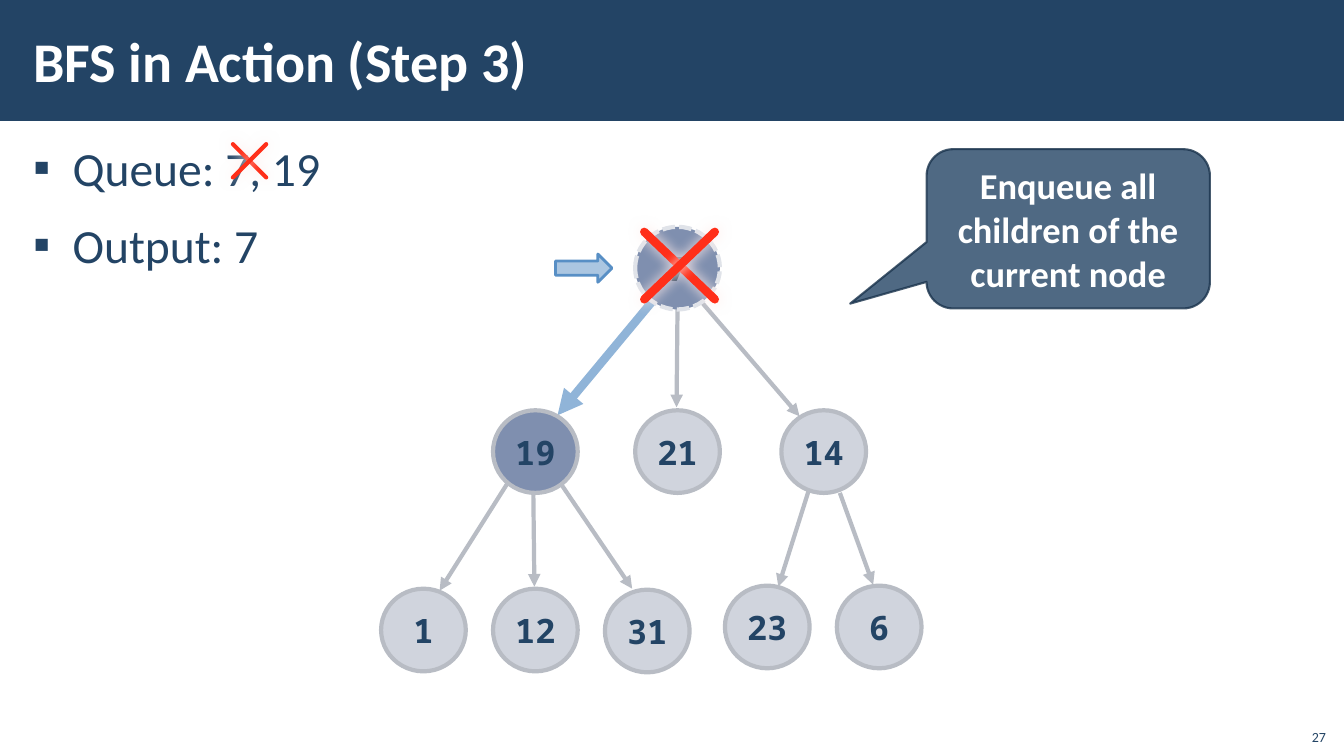
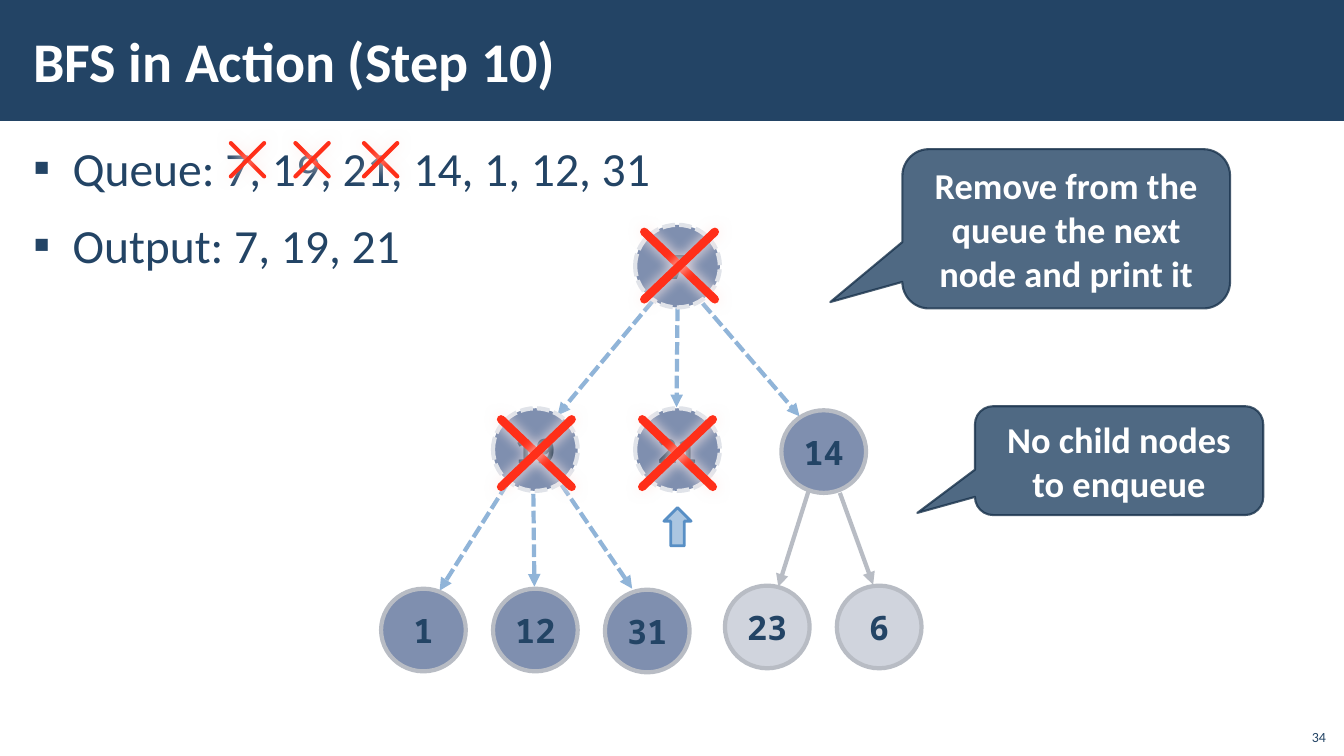
from lxml import etree
from pptx import Presentation
from pptx.dml.color import RGBColor
from pptx.enum.dml import MSO_LINE
from pptx.enum.shapes import MSO_CONNECTOR, MSO_SHAPE
from pptx.enum.text import MSO_ANCHOR, PP_ALIGN
from pptx.oxml.ns import qn
from pptx.util import Inches, Pt

NAVY = RGBColor(0x23, 0x44, 0x65)
DARK_NAVY = RGBColor(0x1A, 0x33, 0x4C)
DEEP_BLUE = RGBColor(0x00, 0x20, 0x60)
SLATE = RGBColor(0x7F, 0x8F, 0xAF)
GREY_BLUE = RGBColor(0xA3, 0xAB, 0xBC)
GREY = RGBColor(0xB8, 0xBC, 0xC4)
PALE = RGBColor(0xE0, 0xE3, 0xE9)
SKY = RGBColor(0x90, 0xB4, 0xD8)
BLUE = RGBColor(0x58, 0x8F, 0xC5)
RED = RGBColor(0xFF, 0x2F, 0x19)
BLUSH = RGBColor(0xFF, 0xED, 0xEB)
WHITE = RGBColor(0xFF, 0xFF, 0xFF)

RECTANGLE, OVAL = MSO_SHAPE.RECTANGLE, MSO_SHAPE.OVAL
ARROW, CALLOUT = MSO_SHAPE.RIGHT_ARROW, MSO_SHAPE.ROUNDED_RECTANGULAR_CALLOUT
STRAIGHT, DASHED = MSO_CONNECTOR.STRAIGHT, MSO_LINE.SQUARE_DOT
LEFT, CENTER, RIGHT = PP_ALIGN.LEFT, PP_ALIGN.CENTER, PP_ALIGN.RIGHT
TOP, MIDDLE, BOTTOM = MSO_ANCHOR.TOP, MSO_ANCHOR.MIDDLE, MSO_ANCHOR.BOTTOM

SANS, MONO = "Calibri", "Noto Sans Mono"
NODE_SIZE = (0.84, 0.82)
QUEUE_MARK = (0.33, 0.33, 3)
NODE_MARK = (0.7, 0.67, 6)
TREE_BOX = (3.78, 2.25)

# Node corners and edge ends, measured from the corner of the tree box
NODES = {"7": (2.52, 0), "19": (1.11, 1.82), "21": (2.52, 1.82),
         "14": (3.97, 1.82), "1": (0, 3.59), "12": (1.11, 3.59),
         "31": (2.22, 3.6), "23": (3.41, 3.56), "6": (4.52, 3.56)}
EDGES = {"19": (2.69, 0.74, 1.75, 1.87), "21": (2.94, 0.81, 2.93, 1.79),
         "14": (3.19, 0.76, 4.15, 1.88), "1": (1.25, 2.55, 0.58, 3.61),
         "12": (1.51, 2.65, 1.52, 3.57), "31": (1.79, 2.56, 2.49, 3.59),
         "23": (4.24, 2.62, 3.94, 3.57), "6": (4.55, 2.64, 4.88, 3.55)}

# Fill, opacity, outline, dash and text colour of each node state
WAITING = (GREY_BLUE, 50, GREY, None, NAVY)
QUEUED = (DEEP_BLUE, 50, GREY, None, NAVY)
PRINTED = (SLATE, 100, PALE, DASHED, DARK_NAVY)

# Colour, width and dash of each edge state
UNSEEN_EDGE = (GREY, 3, None)
ACTIVE_EDGE = (SKY, 6, None)
USED_EDGE = (SKY, 3, DASHED)


def fade(shape, route, percent):
    """Make the colour found below the shape's properties translucent."""
    colour = shape.element.spPr.find("/".join(qn(tag) for tag in route))
    etree.SubElement(colour, qn("a:alpha"), val=str(percent * 1000))


def write(frame, lines, size, colour, bold=False, font=SANS, align=LEFT,
          anchor=TOP, wrap=True):
    """Fill a text frame with one paragraph per line and return them."""
    frame.word_wrap = wrap
    frame.vertical_anchor = anchor
    paras = []
    for index, line in enumerate(lines):
        para = frame.add_paragraph() if index else frame.paragraphs[0]
        para.alignment = align
        span = para.add_run()
        span.text = line
        span.font.size, span.font.bold = Pt(size), bold
        span.font.name = font
        span.font.color.rgb = colour
        paras.append(para)
    return paras


def add_text(page, box, lines, size, colour, margins=(0.12, 0.04), **style):
    """Place a text box and return its paragraphs."""
    frame = page.shapes.add_textbox(*map(Inches, box)).text_frame
    frame.margin_left = frame.margin_right = Inches(margins[0])
    frame.margin_top = frame.margin_bottom = Inches(margins[1])
    return write(frame, lines, size, colour, **style)


def add_block(shapes, kind, box, fill, outline=None, width=0, opacity=100):
    """Place a flat preset shape."""
    block = shapes.add_shape(kind, *map(Inches, box))
    block.shadow.inherit = False
    block.fill.solid()
    block.fill.fore_color.rgb = fill
    if opacity < 100:
        fade(block, ("a:solidFill", "a:srgbClr"), opacity)
    if outline is None:
        block.line.fill.background()
    else:
        block.line.color.rgb = outline
        block.line.width = Pt(width)
    return block


def add_line(shapes, ends, colour, width, dash=None):
    """Draw a straight line; return it with its empty effect list."""
    line = shapes.add_connector(STRAIGHT, *map(Inches, ends))
    line.line.color.rgb = colour
    line.line.width = Pt(width)
    if dash is not None:
        line.line.dash_style = dash
    effects = etree.SubElement(line.element.spPr, qn("a:effectLst"))
    return line, effects


def add_frame(page, title, number):
    """Draw the title band, the title and the page number."""
    add_block(page.shapes, RECTANGLE, (0, 0, 13.34, 1.2), NAVY)
    add_text(page, (0.21, 0.11, 10.63, 0.97), [title], 40, WHITE,
             bold=True, anchor=MIDDLE)
    add_text(page, (12.85, 7.12, 0.4, 0.32), [str(number)], 10, NAVY,
             margins=(0.1, 0.05), align=RIGHT, anchor=BOTTOM)


def add_bullets(page, box, lines):
    """Write the queue and output lines as a bulleted list."""
    for para in add_text(page, box, lines, 34, NAVY):
        para.line_spacing = 1.05
        para.space_before = para.space_after = Pt(6)
        props = para._p.get_or_add_pPr()
        props.set("marL", str(Inches(0.39)))
        props.set("indent", str(-Inches(0.39)))
        etree.SubElement(props, qn("a:buFont"), typeface=SANS)
        etree.SubElement(props, qn("a:buChar"), char="▪")


def add_tree(page, corner, node_states, edge_states, lift):
    """Draw the tree; printed nodes sit higher by the lift."""
    left, top = corner
    shapes = page.shapes.add_group_shape().shapes
    for child, (x1, y1, x2, y2) in EDGES.items():
        ends = (left + x1, top + y1, left + x2, top + y2)
        edge, _ = add_line(shapes, ends, *edge_states.get(child, UNSEEN_EDGE))
        outline = edge.element.spPr.find(qn("a:ln"))
        etree.SubElement(outline, qn("a:tailEnd"), type="triangle")
    for label, (x, y) in NODES.items():
        state = node_states.get(label, WAITING)
        fill, opacity, outline, dash, ink = state
        rise = lift if state is PRINTED else 0
        node = add_block(shapes, OVAL, (left + x, top + y - rise, *NODE_SIZE),
                         fill, outline, 3, opacity)
        if dash is not None:
            node.line.dash_style = dash
        write(node.text_frame, [label], 24, ink, bold=True, font=MONO,
              align=CENTER, anchor=MIDDLE, wrap=False)


def add_cross(page, corner, mark):
    """Strike something out with two glowing red strokes."""
    left, top = corner
    width, height, weight = mark
    right, bottom = left + width, top + height
    shapes = page.shapes.add_group_shape().shapes
    for ends in ((left, top, right, bottom), (right, top, left, bottom)):
        stroke, effects = add_line(shapes, ends, RED, weight)
        stroke.element.spPr.find(qn("a:ln")).set("cap", "rnd")
        glow = etree.SubElement(effects, qn("a:outerShdw"), dist="0",
                                blurRad=str(Pt(10)), dir="5400000")
        etree.SubElement(glow, qn("a:srgbClr"), val=str(BLUSH))


def add_pointer(page, box, rotation=0):
    """Draw the arrow that points at the current node."""
    pointer = add_block(page.shapes, ARROW, box, BLUE, BLUE, 2, 50)
    pointer.rotation = rotation


def add_callout(page, box, tip, words):
    """Draw a speech bubble whose tip is given as shares of its size."""
    bubble = add_block(page.shapes, CALLOUT, box, NAVY, DARK_NAVY, 1.5, 80)
    fade(bubble, ("a:ln", "a:solidFill", "a:srgbClr"), 80)
    bubble.adjustments[0], bubble.adjustments[1] = tip
    write(bubble.text_frame, [words], 26, WHITE, bold=True, align=CENTER,
          anchor=MIDDLE)


def build_step(deck, step, number, queue, output, nodes, edges, lift, crosses,
               pointer, callouts):
    """Build one slide of the search."""
    page = deck.slides.add_slide(deck.slide_layouts[6])
    add_frame(page, f"BFS in Action (Step {step})", number)
    add_bullets(page, (0.21, 1.31, 12.92, 6.05),
                [f"Queue: {queue}", f"Output: {output}"])
    add_tree(page, TREE_BOX, nodes, edges, lift)
    for corner, mark in crosses:
        add_cross(page, corner, mark)
    add_pointer(page, *pointer)
    for callout in callouts:
        add_callout(page, *callout)


def main():
    """Build and save the deck."""
    deck = Presentation()
    deck.slide_width, deck.slide_height = Inches(13.33), Inches(7.5)
    build_step(
        deck, 3, 27, "7, 19", "7",
        nodes={"7": PRINTED, "19": QUEUED},
        edges={"19": ACTIVE_EDGE}, lift=0,
        crosses=[((2.31, 1.43), QUEUE_MARK), ((6.39, 2.3), NODE_MARK)],
        pointer=((5.51, 2.52, 0.56, 0.28),),
        callouts=[((9.19, 1.48, 2.81, 1.58), (-0.77, 0.47),
                   "Enqueue all children of the current node")])
    build_step(
        deck, 10, 34, "7, 19, 21, 14, 1, 12, 31", "7, 19, 21",
        nodes={**dict.fromkeys(("7", "19", "21"), PRINTED),
               **dict.fromkeys(("14", "1", "12", "31"), QUEUED)},
        edges=dict.fromkeys(("19", "21", "14", "1", "12", "31"), USED_EDGE),
        lift=0.02,
        crosses=[((2.29, 1.42), QUEUE_MARK), ((2.93, 1.42), QUEUE_MARK),
                 ((3.61, 1.42), QUEUE_MARK), ((6.39, 2.3), NODE_MARK),
                 ((4.97, 4.16), NODE_MARK), ((6.37, 4.16), NODE_MARK)],
        pointer=((6.53, 5.09, 0.38, 0.27), 270),
        callouts=[((8.95, 1.48, 3.25, 1.58), (-0.72, 0.46),
                   "Remove from the queue the next node and print it"),
                  ((9.67, 4.03, 2.86, 1.08), (-0.7, 0.48),
                   "No child nodes to enqueue")])
    deck.save("out.pptx")


main()
